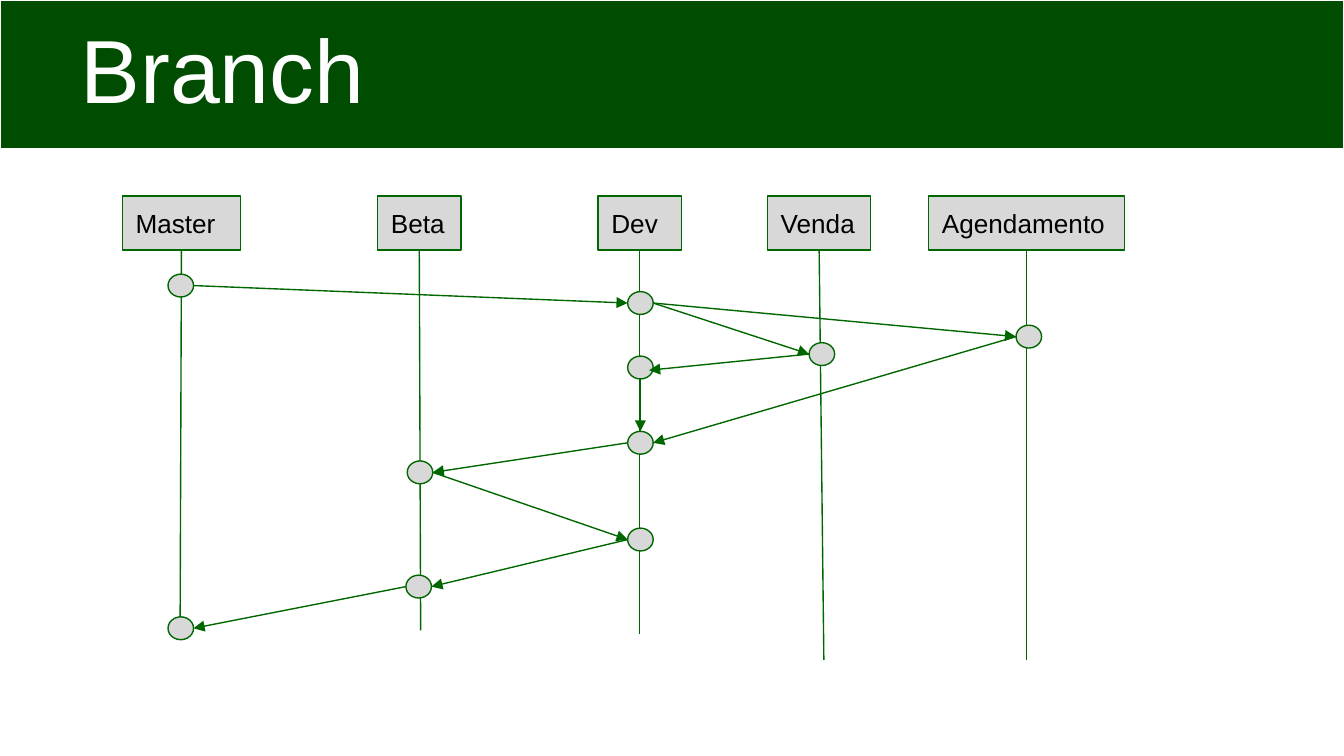
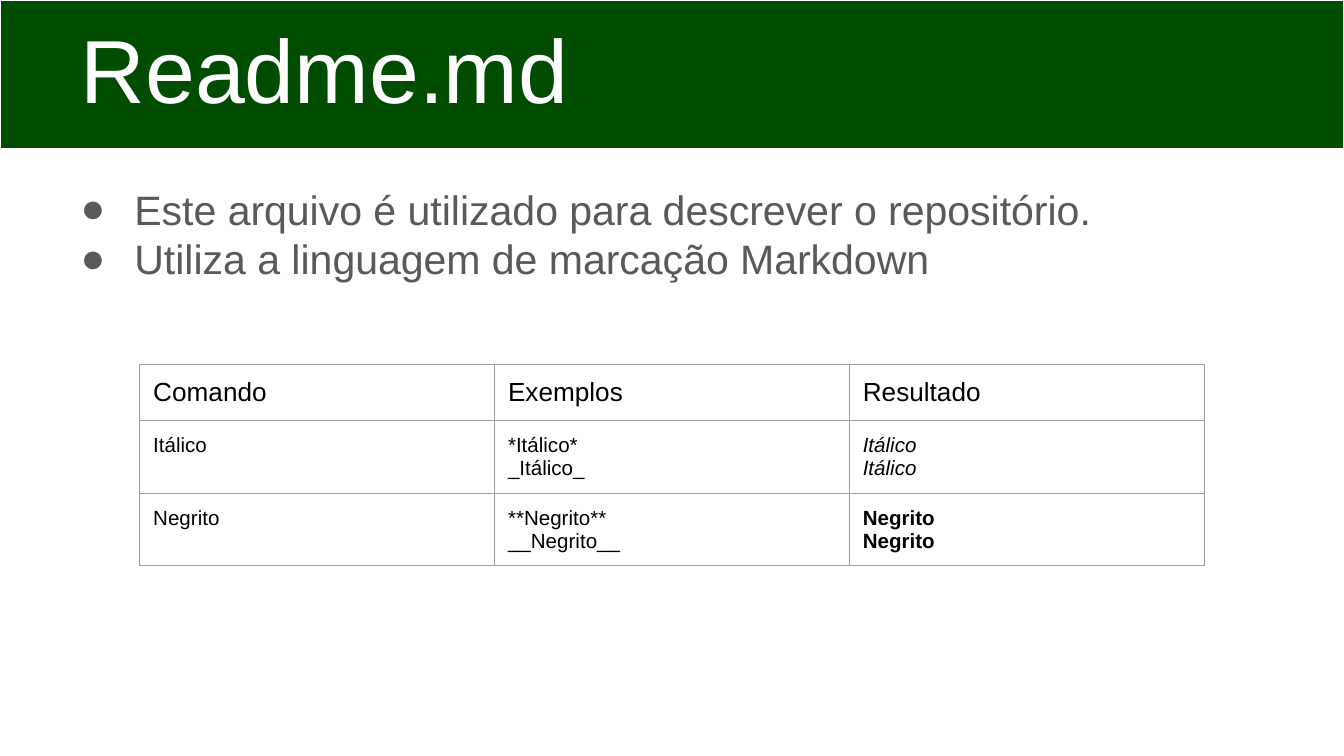
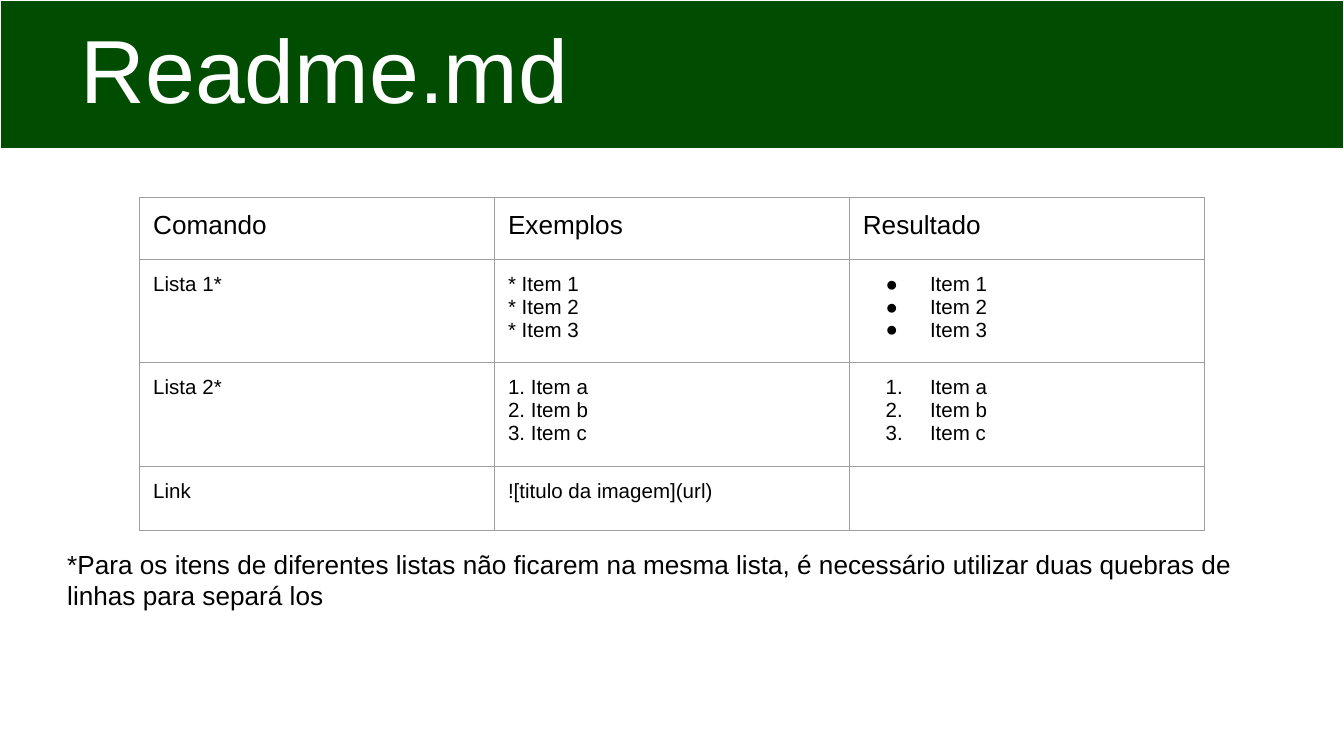
"""Build three slides on branches and Markdown."""
from dataclasses import dataclass

from lxml import etree
from pptx import Presentation
from pptx.dml.color import RGBColor
from pptx.enum.shapes import MSO_CONNECTOR, MSO_SHAPE
from pptx.enum.text import MSO_ANCHOR, MSO_AUTO_SIZE, PP_ALIGN
from pptx.oxml.ns import qn
from pptx.util import Inches, Pt

RECT, OVAL = MSO_SHAPE.RECTANGLE, MSO_SHAPE.OVAL
STRAIGHT = MSO_CONNECTOR.STRAIGHT
TOP, MIDDLE = MSO_ANCHOR.TOP, MSO_ANCHOR.MIDDLE
LEFT, JUSTIFY = PP_ALIGN.LEFT, PP_ALIGN.JUSTIFY
NO_FIT = MSO_AUTO_SIZE.NONE

LANES = [
    ("Master", 0.91, 0.88, 1.34, 4.76),
    ("Beta", 2.81, 0.62, 3.13, 4.69),
    ("Dev", 4.45, 0.62, 4.76, 4.72),
    ("Venda", 5.71, 0.77, 6.13, 4.91),
    ("Agendamento", 6.91, 1.46, 7.64, 4.91),
]
DOTS = {
    "start": (1.25, 2.04), "fork": (4.67, 2.17), "join": (4.67, 2.65),
    "merge": (4.67, 3.21), "test": (3.03, 3.43), "fix": (4.67, 3.93),
    "pass": (3.02, 4.28), "ship": (1.25, 4.59),
    "sale": (6.02, 2.55), "plan": (7.56, 2.42),
}
ARROWS = [
    ("start", "fork"), ("join", "merge"), ("merge", "test"),
    ("test", "fix"), ("fix", "pass"), ("pass", "ship"),
    ("fork", "sale"), ("sale", "join"), ("fork", "plan"), ("plan", "merge"),
]
NUDGE = {("sale", "join"): (-0.03, 0.02)}

POINTS = [
    "Este arquivo é utilizado para descrever o repositório.",
    "Utiliza a linguagem de marcação Markdown",
]
NOTE = ("*Para os itens de diferentes listas não ficarem na mesma lista, "
        "é necessário utilizar duas quebras de linhas para separá los")
HEAD = ("Comando", "Exemplos", "Resultado")
STYLES = [
    ("Itálico", "*Itálico*\n_Itálico_", "Itálico\nItálico", {"italic": True}),
    ("Negrito", "**Negrito**\n__Negrito__", "Negrito\nNegrito", {"bold": True}),
]
LISTS = [
    ("Lista 1*", "* Item 1\n* Item 2\n* Item 3", "Item 1\nItem 2\nItem 3",
     {"mark": "●"}),
    ("Lista 2*", "1. Item a\n2. Item b\n3. Item c", "Item a\nItem b\nItem c",
     {"mark": "1."}),
    ("Link", "![titulo da imagem](url)", "", {}),
]


@dataclass(frozen=True)
class Theme:
    """Colours, font, type sizes and line width."""
    band: str = "004C00"
    edge: str = "006600"
    tile: str = "D8D8D8"
    grid: str = "9E9E9E"
    ink: str = "000000"
    soft: str = "595959"
    white: str = "FFFFFF"
    font: str = "Arial"
    title: int = 48
    list: int = 22
    label: int = 14
    small: int = 11
    line: float = 0.75


T = Theme()
WIDE = Inches(10)
HIGH = WIDE * 9 // 16
BAND = (0, 0, 10, 1.11)
BODY = (0.4, 1.27, 9.32, 3.74)
FOOT = (0.4, 3.98, 9.32, 1.03)
DOT = (0.19, 0.17)
LANE_TOP, LANE_HIGH = 1.46, 0.4
GRID_LEFT, COL = 1.04, 2.64


def put(item, **vals):
    """Set each named value on an item."""
    for name, val in vals.items():
        setattr(item, name, val)


def rgb(code):
    """Turn a hex code into a colour."""
    return RGBColor.from_string(code)


def place(shape, box):
    """Move and size a shape in inches."""
    put(shape, **dict(zip(("left", "top", "width", "height"), map(Inches, box))))


def paint(shape, fill, edge):
    """Give a shape a flat fill and a thin outline."""
    shape.fill.solid()
    shape.fill.fore_color.rgb = rgb(fill)
    shape.line.color.rgb = rgb(edge)
    shape.line.width = Pt(T.line)


def node(root, tag, **vals):
    """Add a DrawingML child and return it."""
    return etree.SubElement(root, qn("a:" + tag), vals)


def write(frame, text, size, tint, mark="", left=0, first=0,
          align=LEFT, **style):
    """Fill a text frame, one paragraph a line."""
    frame.text = text
    for par in frame.paragraphs:
        put(par, alignment=align, space_before=Pt(0))
        put(par.font, size=Pt(size))
        props = par._p.get_or_add_pPr()
        props.set("marL", str(Inches(left)))
        props.set("indent", str(Inches(first)))
        if mark:
            node(node(props, "buClr"), "srgbClr", val=tint)
            node(props, "buFont", typeface=T.font)
            if mark == "1.":
                node(props, "buAutoNum", type="arabicPeriod")
            else:
                node(props, "buChar", char=mark)
        else:
            node(props, "buNone")
        props.append(props.find(qn("a:defRPr")))
        for run in par.runs:
            put(run.font, name=T.font, size=Pt(size), **style)
            run.font.color.rgb = rgb(tint)


def pad(item, anchor):
    """Set equal margins and the anchor of a frame or cell."""
    sides = ("left", "right", "top", "bottom")
    put(item, vertical_anchor=anchor,
        **{"margin_" + side: Inches(0.1) for side in sides})


def fill_box(shape, box, anchor, *text, **style):
    """Place a shape and write its text."""
    place(shape, box)
    frame = shape.text_frame
    put(frame, word_wrap=True, auto_size=NO_FIT)
    pad(frame, anchor)
    write(frame, *text, **style)


def new_slide(deck, kind, title):
    """Add a slide with its title band."""
    slide = deck.slides.add_slide(deck.slide_layouts[kind])
    band = slide.shapes.title
    paint(band, T.band, T.white)
    fill_box(band, BAND, TOP, title, T.title, T.white, first=0.5)
    return slide


def add_tile(slide, kind, box):
    """Add a grey shape with a green edge."""
    tile = slide.shapes.add_shape(kind, *map(Inches, box))
    tile.shadow.inherit = False
    paint(tile, T.tile, T.edge)
    return tile


def add_line(slide, start, end, arrow=False):
    """Join two points, with an arrowhead if asked."""
    line = slide.shapes.add_connector(STRAIGHT, *map(Inches, (*start, *end)))
    line.line.color.rgb = rgb(T.edge)
    line.line.width = Pt(T.line)
    if arrow:
        node(line.line._get_or_add_ln(), "tailEnd", type="triangle")
    node(line._element.spPr, "effectLst")


def ends(tail, head):
    """Find where an arrow leaves one dot and meets the next."""
    (ax, ay), (bx, by) = DOTS[tail], DOTS[head]
    wide, high = DOT
    if ax == bx:
        return (ax + wide / 2, ay + high), (bx + wide / 2, by)
    east = bx > ax
    dx, dy = NUDGE.get((tail, head), (0, 0))
    return ((ax + wide * east, ay + high / 2),
            (bx + wide * (not east) + dx, by + high / 2 + dy))


def add_grid(slide, top, highs, rows):
    """Add a ruled table with a head row."""
    shape = slide.shapes.add_table(
        len(rows) + 1, len(HEAD), *map(Inches, (
            GRID_LEFT, top, COL * len(HEAD), sum(highs))))
    grid = shape.table
    put(grid, first_row=False, horz_banding=False)
    for col in grid.columns:
        col.width = Inches(COL)
    for row, high in zip(grid.rows, highs):
        row.height = Inches(high)
    for r, (*texts, look) in enumerate([(*HEAD, {}), *rows]):
        for c, text in enumerate(texts):
            cell = grid.cell(r, c)
            pad(cell, TOP)
            style = dict(look) if c == 2 else {}
            if "mark" in style:
                style.update(left=0.5, first=-0.33)
            write(cell.text_frame, text, T.small if r else T.label,
                  T.ink, **style)
            props = cell._tc.get_or_add_tcPr()
            for side in ("lnL", "lnR", "lnT", "lnB"):
                edge = node(props, side, w=str(Pt(T.line)))
                node(node(edge, "solidFill"), "srgbClr", val=T.grid)
            cell.fill.background()


def draw_branch(deck):
    """Draw the lanes, dots and arrows."""
    slide = new_slide(deck, 5, "Branch")
    base = LANE_TOP + LANE_HIGH
    for name, left, wide, foot, end in LANES:
        box = (left, LANE_TOP, wide, LANE_HIGH)
        fill_box(add_tile(slide, RECT, box), box, MIDDLE,
                 name, T.label, T.ink)
        add_line(slide, (left + wide / 2, base), (foot, end))
    for spot in DOTS.values():
        add_tile(slide, OVAL, (*spot, *DOT))
    for pair in ARROWS:
        add_line(slide, *ends(*pair), arrow=True)


def draw_styles(deck):
    """Show the points and the text styles."""
    slide = new_slide(deck, 1, "Readme.md")
    fill_box(slide.placeholders[1], BODY, TOP, "\n".join(POINTS), T.list,
             T.soft, mark="●", left=0.5, first=-0.4, align=JUSTIFY)
    add_grid(slide, 2.71, (0.42, 0.54, 0.54), STYLES)


def draw_lists(deck):
    """Show the list commands and their note."""
    slide = new_slide(deck, 1, "Readme.md")
    fill_box(slide.placeholders[1], FOOT, TOP, NOTE, T.label, T.ink)
    add_grid(slide, 1.47, (0.46, 0.77, 0.77, 0.48), LISTS)


def main():
    """Build and save the deck."""
    deck = Presentation()
    put(deck, slide_width=WIDE, slide_height=HIGH)
    for draw in (draw_branch, draw_styles, draw_lists):
        draw(deck)
    deck.save("out.pptx")


if __name__ == "__main__":
    main()
